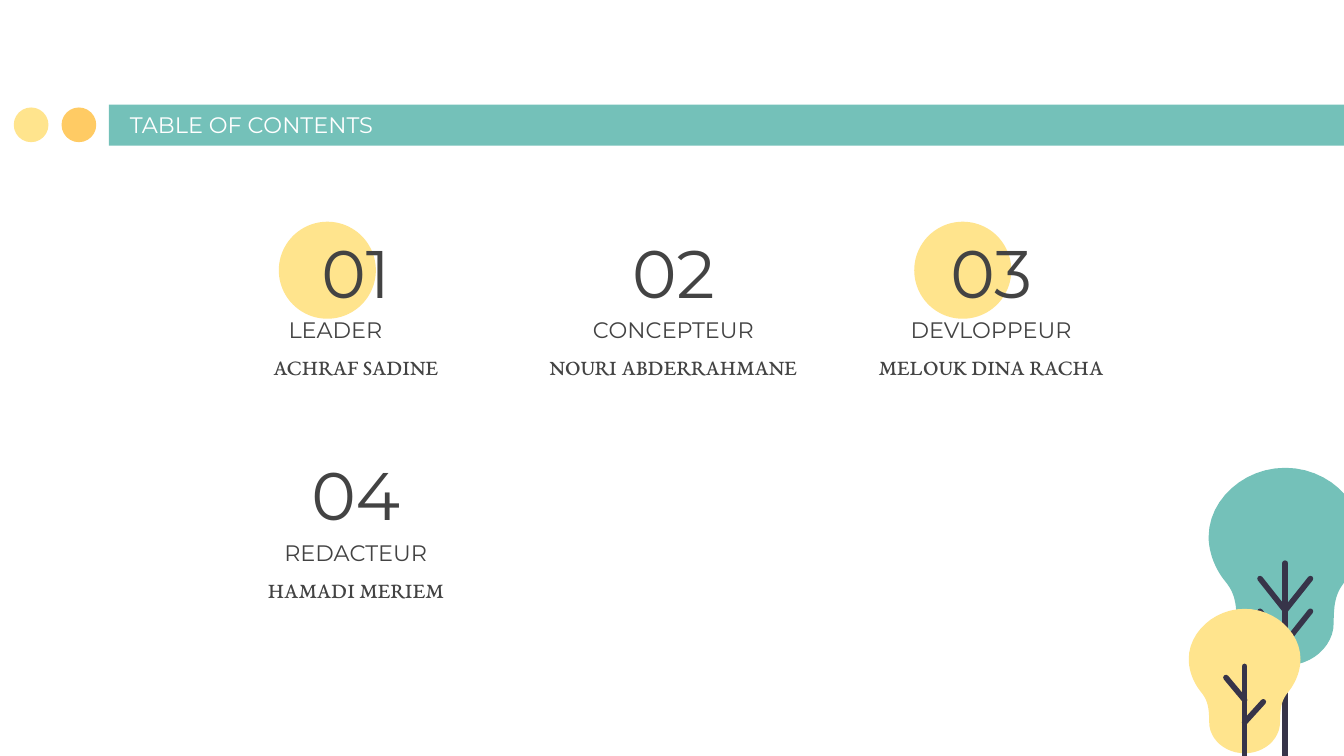
from typing import NamedTuple

from pptx import Presentation
from pptx.dml.color import RGBColor
from pptx.enum.shapes import MSO_SHAPE
from pptx.enum.text import MSO_ANCHOR, MSO_AUTO_SIZE, PP_ALIGN
from pptx.util import Pt

TEAL, YELLOW, ORANGE = "74C1B9", "FFE48D", "FFCB64"
DARK, WOOD, WHITE = "434343", "373449", "FFFFFF"
SANS, SERIF = "Montserrat", "EB Garamond"

# Centre of the first column, top of the first row, and the grid steps
FIRST_X, FIRST_Y = 190.6, 123.2
STEP_X, STEP_Y = 170.2, 119

# Left half of a crown, from its top: control points of joined cubic curves
HALF_CROWN = [(0, 0), (-22, 0), (-41, 17), (-41, 37),
              (-41, 46), (-37, 55), (-32, 61),
              (-27, 67), (-26, 73), (-26, 83),
              (-26, 96), (-14, 106), (0, 106)]


class Member(NamedTuple):
    number: str
    role: str
    name: str
    dot: bool = False


class Line(NamedTuple):
    """One line of a member's entry; dy is measured from the entry's top."""
    dy: float
    width: float
    height: float
    size: float
    font: str
    anchor: MSO_ANCHOR


class Branch(NamedTuple):
    reach: float
    tip: float
    joint: float


class Tree(NamedTuple):
    x: float
    top: float
    scale: float
    color: str
    stem_top: float
    stem_bottom: float
    branches: list[Branch]


MEMBERS = [
    Member("01", "LEADER\t", "ACHRAF SADINE", dot=True),
    Member("02", "CONCEPTEUR", "NOURI ABDERRAHMANE"),
    Member("03", "DEVLOPPEUR", "MELOUK DINA RACHA", dot=True),
    Member("04", "REDACTEUR", "HAMADI MERIEM"),
]

LINES = [
    Line(0, 138, 45, 36, SANS, MSO_ANCHOR.MIDDLE),
    Line(23, 183, 45, 12, SANS, MSO_ANCHOR.BOTTOM),
    Line(59, 150, 48, 12, SERIF, MSO_ANCHOR.TOP),
]

TREES = [
    Tree(688.5, 250.6, 1, TEAL, 301.7, 420.5,
         [Branch(side * 13.5, tip, tip + 17) for tip in (310, 327.5) for side in (-1, 1)]),
    Tree(666.8, 326.2, 0.73, YELLOW, 357, 427,
         [Branch(-10, 363, 375), Branch(10, 376, 387)]),
]


def rgb(color: str) -> RGBColor:
    return RGBColor.from_string(color)


def paint(sp, color: str) -> None:
    sp.fill.solid()
    sp.fill.fore_color.rgb = rgb(color)
    sp.line.fill.background()
    sp.shadow.inherit = False


def add_shape(s, kind: MSO_SHAPE, x: float, y: float, w: float, h: float,
              color: str) -> None:
    paint(s.shapes.add_shape(kind, Pt(x), Pt(y), Pt(w), Pt(h)), color)


def write(sp, text: str, size: float, font: str, color: str,
          align: PP_ALIGN, anchor: MSO_ANCHOR) -> None:
    tf = sp.text_frame
    tf.word_wrap = True
    tf.auto_size = MSO_AUTO_SIZE.NONE
    tf.vertical_anchor = anchor
    tf.margin_left = tf.margin_right = Pt(7.2)
    tf.margin_top = tf.margin_bottom = Pt(7.2)
    p = tf.paragraphs[0]
    p.text = text
    p.alignment = align
    p.font.size, p.font.name = Pt(size), font
    p.font.color.rgb = rgb(color)


def flatten(controls: list, steps: int = 12) -> list[tuple[float, float]]:
    """Turn joined cubic curves into a list of corners."""
    points = [controls[0]]
    for k in range(0, len(controls) - 1, 3):
        for i in range(1, steps + 1):
            t = i / steps
            weights = ((1 - t)**3, 3 * t * (1 - t)**2, 3 * t**2 * (1 - t), t**3)
            points.append(tuple(sum(w * c[axis] for w, c in zip(weights, controls[k:k + 4]))
                                for axis in (0, 1)))
    return points


def add_tree(s, tree: Tree) -> None:
    left = flatten(HALF_CROWN)
    right = [(-x, y) for x, y in reversed(left)]
    start, *rest = [(Pt(tree.x + x * tree.scale), Pt(tree.top + y * tree.scale))
                    for x, y in left + right[1:-1]]
    builder = s.shapes.build_freeform(*start)
    builder.add_line_segments(rest, close=True)
    paint(builder.convert_to_shape(), tree.color)

    x = Pt(tree.x)
    builder = s.shapes.build_freeform(x, Pt(tree.stem_top))
    builder.add_line_segments([(x, Pt(tree.stem_bottom))], close=False)
    for branch in tree.branches:
        builder.move_to(Pt(tree.x + branch.reach), Pt(branch.tip))
        builder.add_line_segments([(x, Pt(branch.joint))], close=False)
    wood = builder.convert_to_shape()
    wood.fill.background()
    wood.shadow.inherit = False
    wood.line.color.rgb = rgb(WOOD)
    wood.line.width = Pt(3)
    wood.line.fill  # the line element exists from here on
    wood.element.spPr.find("{*}ln").set("cap", "rnd")


def add_member(s, member: Member, col: int, row: int) -> None:
    x = FIRST_X + col * STEP_X
    y = FIRST_Y + row * STEP_Y
    if member.dot:
        add_shape(s, MSO_SHAPE.OVAL, x - 41.2, y - 4.4, 52, 52, YELLOW)
    for text, line in zip((member.number, member.role, member.name), LINES):
        sp = s.shapes.add_textbox(Pt(x - line.width / 2), Pt(y + line.dy),
                                  Pt(line.width), Pt(line.height))
        write(sp, text, line.size, line.font, DARK, PP_ALIGN.CENTER, line.anchor)


def main() -> None:
    prs = Presentation()
    prs.slide_width, prs.slide_height = Pt(720), Pt(405)
    s = prs.slides.add_slide(prs.slide_layouts[5])

    add_shape(s, MSO_SHAPE.RECTANGLE, 58.4, 56, 684, 22, TEAL)
    for x, color in ((33, ORANGE), (7.4, YELLOW)):
        add_shape(s, MSO_SHAPE.OVAL, x, 57.6, 18.6, 18.6, color)

    title = s.shapes.title
    title.left, title.top, title.width, title.height = map(Pt, (62.4, 56.9, 394.6, 24.5))
    write(title, "TABLE OF CONTENTS", 12, SANS, WHITE, PP_ALIGN.LEFT, MSO_ANCHOR.BOTTOM)
    s.shapes.element.append(title.element)  # in front of the bar

    for i, member in enumerate(MEMBERS):
        add_member(s, member, col=i % 3, row=i // 3)
    for tree in TREES:
        add_tree(s, tree)

    prs.save("out.pptx")


if __name__ == "__main__":
    main()
